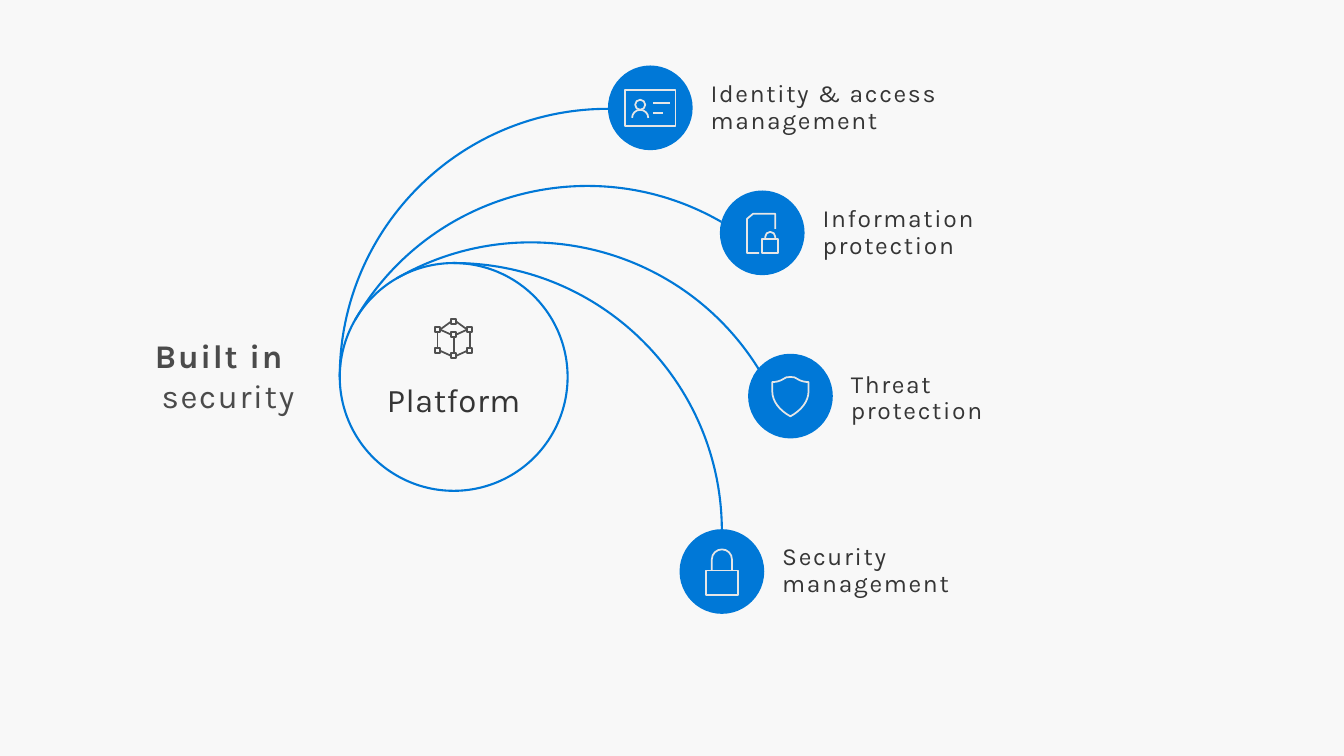
import math

from lxml import etree
from pptx import Presentation
from pptx import util as u
from pptx.dml.color import RGBColor
from pptx.enum import shapes, text
from pptx.oxml.ns import qn

BACKGROUND = RGBColor(0xF8, 0xF8, 0xF8)
BLUE = RGBColor(0x00, 0x78, 0xD7)
ICON_GREY = RGBColor(0xE6, 0xE6, 0xE6)
CUBE_GREY = RGBColor(0x50, 0x50, 0x50)
TEXT_GREY = RGBColor(0x35, 0x35, 0x35)
TITLE_GREY = RGBColor(0x4B, 0x4B, 0x4B)

COLUMNS, ROWS = 13.33, 7.5
CELL = u.Inches(1)
PLATFORM_CENTER, PLATFORM_RADIUS = (4.5, 3.74), 1.13
BRANCH_RADIUS, BRANCH_TURN = 2.66, 30
BADGE_RADIUS = 0.42
QUARTER_HANDLE = 4 / 3 * (math.sqrt(2) - 1)


def cells(*lengths):
    return [round(length * CELL) for length in lengths]


def arc(x, y, radius, start, quarters=1):
    def place(angle, along=0):
        cosine, sine = math.cos(math.radians(angle)), math.sin(math.radians(angle))
        return (x + radius * (cosine - along * sine), y + radius * (sine + along * cosine))

    stroke = [place(start)]
    for i in range(quarters):
        begin, end = start + 90 * i, start + 90 * (i + 1)
        stroke.append((place(begin, QUARTER_HANDLE), place(end, -QUARTER_HANDLE), place(end)))
    return stroke


def rectangle(left, top, right, bottom):
    return [(left, top), (right, top), (right, bottom), (left, bottom), (left, top)]


def padlock(x, top, bottom, half_width, shackle_y, shackle_radius):
    shackle = arc(x, shackle_y, shackle_radius, 180, 2)
    return [rectangle(x - half_width, top, x + half_width, bottom),
            [(x - shackle_radius, top), *shackle, (x + shackle_radius, top)]]


def identity_icon():
    return [rectangle(-0.25, -0.18, 0.25, 0.18),
            arc(-0.1, -0.03, 0.05, 0, 4), arc(-0.1, 0.1, 0.08, 180, 2),
            [(0.03, -0.05), (0.2, -0.05)], [(0.03, 0.05), (0.13, 0.05)]]


def document_icon():
    page = [(-0.03, 0.2), (-0.15, 0.2), (-0.15, -0.14), (-0.09, -0.19), (0.13, -0.19), (0.13, -0.04)]
    return [page, *padlock(0.08, 0.06, 0.2, 0.08, 0.04, 0.05)]


def shield_icon():
    return [[(0.18, -0.05), ((0.18, 0.05), (0.11, 0.14), (0, 0.2)),
             ((-0.11, 0.14), (-0.18, 0.05), (-0.18, -0.05)), (-0.18, -0.14),
             ((-0.14, -0.14), (-0.1, -0.15), (-0.07, -0.17)),
             ((-0.05, -0.19), (-0.03, -0.19), (0, -0.19)),
             ((0.03, -0.19), (0.05, -0.19), (0.07, -0.17)),
             ((0.1, -0.15), (0.14, -0.14), (0.18, -0.14)), (0.18, -0.05)]]


def lock_icon():
    return padlock(0, -0.01, 0.23, 0.16, -0.12, 0.1)


def cube_icon():
    side, node = 0.16, 0.05 / 2
    top, upper_left, upper_right, middle = (0, -0.17), (-side, -0.09), (side, -0.09), (0, -0.04)
    lower_left, lower_right, bottom = (-side, 0.12), (side, 0.12), (0, 0.17)
    nodes = (top, upper_left, upper_right, middle, lower_left, lower_right, bottom)
    edges = ((upper_left, top), (top, upper_right), (upper_left, middle), (middle, upper_right),
             (upper_left, lower_left), (middle, bottom), (upper_right, lower_right),
             (lower_left, bottom), (bottom, lower_right))
    strokes = [rectangle(x - node, y - node, x + node, y + node) for x, y in nodes]
    for (x1, y1), (x2, y2) in edges:
        dx, dy = (0, node) if x1 == x2 else (node, 0)
        strokes.append([(x1 + dx, y1 + dy), (x2 - dx, y2 - dy)])
    return strokes


def style(shape, fill=None, line=None, width=1.5):
    shape.shadow.inherit = False
    if fill is None:
        shape.fill.background()
    else:
        shape.fill.solid()
        shape.fill.fore_color.rgb = fill
    if line is None:
        shape.line.fill.background()
    else:
        shape.line.color.rgb = line
        shape.line.width = u.Pt(width)


def bend_curves(shape, strokes):
    segments = iter(list(shape._element.iter(qn("a:lnTo"))))
    for stroke in strokes:
        for step in stroke[1:]:
            curve = next(segments)
            if len(step) == 3:
                curve.tag = qn("a:cubicBezTo")
                for _ in range(2):
                    handle = next(segments)
                    curve.append(handle[0])
                    handle.getparent().remove(handle)


def draw_strokes(tree, center, strokes, color, width):
    def place(point):
        return cells(center[0] + point[0], center[1] + point[1])

    builder = tree.build_freeform(*place(strokes[0][0]))
    for i, stroke in enumerate(strokes):
        if i:
            builder.move_to(*place(stroke[0]))
        points = [point for step in stroke[1:] for point in (step if len(step) == 3 else [step])]
        builder.add_line_segments([place(point) for point in points],
                                  close=place(stroke[0]) == place(points[-1]))
    shape = builder.convert_to_shape()
    bend_curves(shape, strokes)
    style(shape, line=color, width=width)


def draw_circle(tree, center, radius, **look):
    x, y = center
    circle = tree.add_shape(shapes.MSO_SHAPE.OVAL,
                            *cells(x - radius, y - radius, 2 * radius, 2 * radius))
    style(circle, **look)


def format_text(shape, words, size, color, spacing, align, line_spacing, anchor):
    frame = shape.text_frame
    frame.word_wrap = True
    frame.auto_size = text.MSO_AUTO_SIZE.NONE
    frame.vertical_anchor = anchor
    paragraph = frame.paragraphs[0]
    paragraph.alignment = align
    paragraph.line_spacing = line_spacing
    font = paragraph.font
    font.name, font.size, font.color.rgb = "Karla", u.Pt(size), color
    for i, line in enumerate(words.split("\n")):
        if i:
            paragraph.add_line_break()
        run = paragraph.add_run()
        run.text = line
        run._r.get_or_add_rPr().set("spc", str(round(spacing * 100)))
    return paragraph


def add_title(slide, left, top, width, height):
    title = slide.shapes.title
    title.left, title.top, title.width, title.height = cells(left, top, width, height)
    paragraph = format_text(title, "Built in \nsecurity", 23.6, TITLE_GREY, 1.2,
                            text.PP_ALIGN.RIGHT, 1.0, text.MSO_ANCHOR.TOP)
    for run, bold in zip(paragraph.runs, (True, False)):
        run.font.bold = bold


def add_label(slide, words, box, size, spacing, align):
    label = slide.shapes.add_textbox(*cells(*box))
    format_text(label, words, size, TEXT_GREY, spacing, align, 0.9, text.MSO_ANCHOR.MIDDLE)


def add_platform(slide, center, radius):
    x, y = center
    draw_circle(slide.shapes, center, radius, line=BLUE)
    draw_strokes(slide.shapes, (x, y - 0.38), cube_icon(), CUBE_GREY, 1.25)
    add_label(slide, "Platform", (x - 0.98, y + 0.02, 1.96, 0.46), 23.6, 0.3, text.PP_ALIGN.CENTER)


def add_branch(slide, index):
    turn = BRANCH_TURN * index
    reach = BRANCH_RADIUS - PLATFORM_RADIUS
    center = (PLATFORM_CENTER[0] + reach * math.cos(math.radians(turn)),
              PLATFORM_CENTER[1] + reach * math.sin(math.radians(turn)))
    draw_strokes(slide.shapes, center, [arc(0, 0, BRANCH_RADIUS, 180 + turn)], BLUE, 1.5)


def add_topic(slide, center, words, icon, label_top, label_width):
    x, y = center
    badge = slide.shapes.add_group_shape()
    draw_circle(badge.shapes, center, BADGE_RADIUS, fill=BLUE)
    draw_strokes(badge.shapes, center, icon, ICON_GREY, 1.25)
    add_label(slide, words, (x + 0.5, label_top, label_width, 0.63), 17.6, 1.2, text.PP_ALIGN.LEFT)


def main():
    presentation = Presentation()
    presentation.slide_width, presentation.slide_height = cells(COLUMNS, ROWS)
    slide = presentation.slides.add_slide(presentation.slide_layouts[5])
    slide.background.fill.solid()
    slide.background.fill.fore_color.rgb = BACKGROUND

    topics = (((6.45, 1.07), "Identity & access management", identity_icon(), 0.76, 2.93),
              ((7.56, 2.31), "Information protection", document_icon(), 2, 2.34),
              ((7.84, 3.93), "Threat \nprotection", shield_icon(), 3.64, 2.34),
              ((7.16, 5.67), "Security management", lock_icon(), 5.35, 2.21))
    add_title(slide, 0.5, 3.28, 2.52, 0.89)
    for index in range(len(topics)):
        add_branch(slide, index)
    add_platform(slide, PLATFORM_CENTER, PLATFORM_RADIUS)
    for topic in topics:
        add_topic(slide, *topic)
    presentation.save("out.pptx")


if __name__ == "__main__":
    main()
